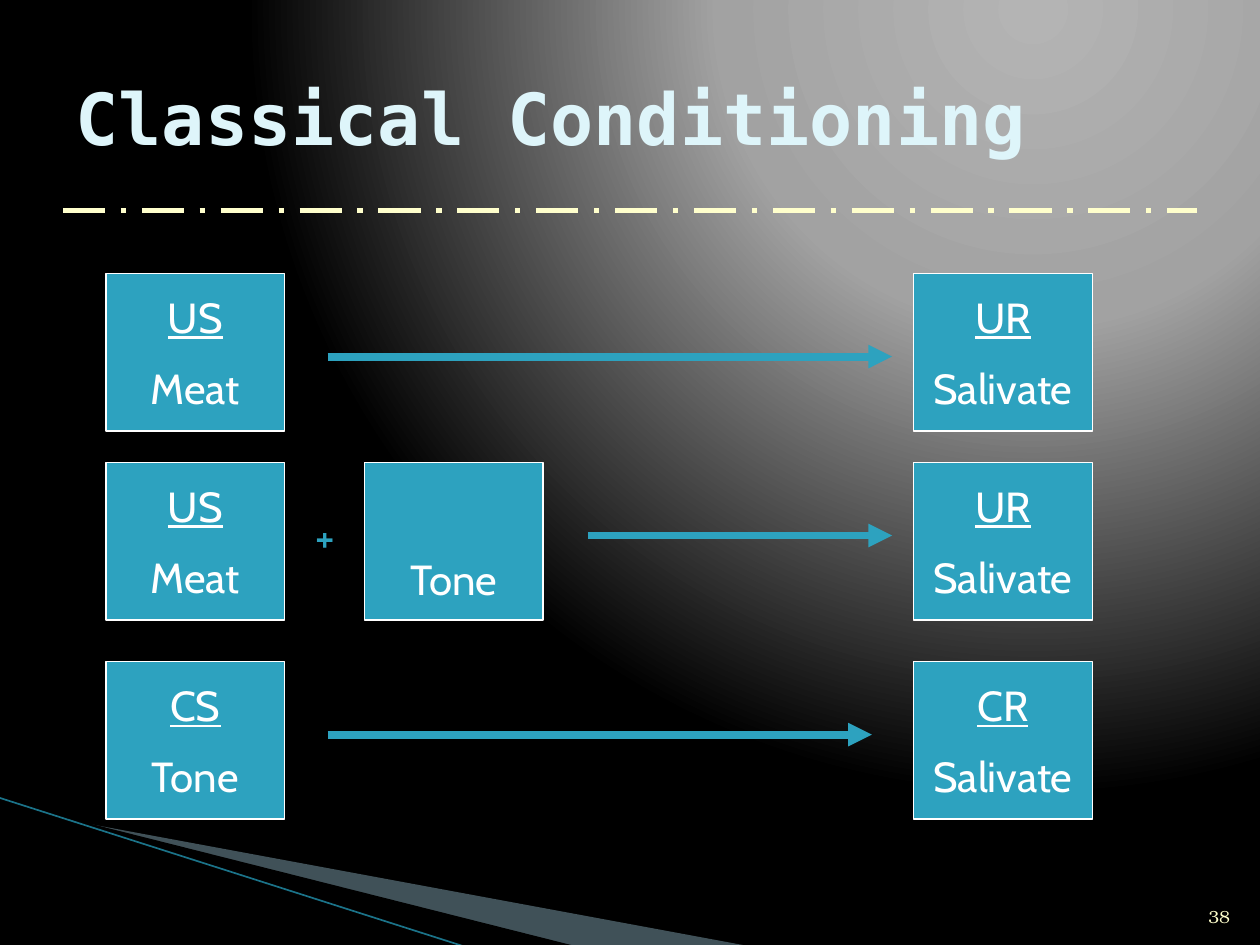
from pptx import Presentation
from pptx.dml.color import RGBColor
from pptx.enum.dml import MSO_LINE
from pptx.enum.shapes import MSO_CONNECTOR, MSO_SHAPE
from pptx.enum.text import MSO_ANCHOR, MSO_AUTO_SIZE, PP_ALIGN
from pptx.oxml import parse_xml
from pptx.oxml.ns import qn
from pptx.util import Inches, Pt
from lxml.etree import SubElement

TEAL, CREAM, WHITE = "2DA2BF", "FFFFCC", "FFFFFF"
BODY = "Cabin"
BOX_W, BOX_H = 1.42, 1.25
LEFT, MID, RIGHT = 0.84, 2.89, 7.25

# row top, boxes (left, term, event), arrow (start x, end x, y)
ROWS = [
    (2.17, [(LEFT, "US", "Meat"), (RIGHT, "UR", "Salivate")],
     (2.6, 7.08, 2.83)),
    (3.67, [(LEFT, "US", "Meat"), (MID, "", "Tone"), (RIGHT, "UR", "Salivate")],
     (4.67, 7.08, 4.25)),
    (5.25, [(LEFT, "CS", "Tone"), (RIGHT, "CR", "Salivate")],
     (2.6, 6.92, 5.83)),
]
# points, colour, opacity in percent
WEDGES = [
    ([(0.55, 6.51), (5.95, 7.51), (4.56, 7.51), (0.55, 6.5)], "A0CBDC", 40),
    ([(0.53, 6.49), (4.57, 7.51), (3.72, 7.52), (0.54, 6.5)], "000000", 100),
]
# position in percent, colour
STOPS = [(0, "B4B4B4"), (40, "A2A2A2"), (100, "000000")]


def rgb(code):
    return RGBColor.from_string(code)


def paint_back(slide):
    """Fill the background with a circular gradient centred at upper right."""
    fill = slide.background.fill
    fill.gradient()
    grad = slide.background._cSld.find(".//" + qn("a:gradFill"))
    stops = "".join(
        f'<a:gs pos="{pos * 1000}"><a:srgbClr val="{code}"/></a:gs>'
        for pos, code in STOPS)
    new = parse_xml(
        '<a:gradFill xmlns:a="http://schemas.openxmlformats.org/drawingml/2006/main"'
        f' rotWithShape="1"><a:gsLst>{stops}</a:gsLst><a:path path="circle">'
        '<a:fillToRect l="65000" t="0" r="0" b="98000"/></a:path></a:gradFill>')
    grad.getparent().replace(grad, new)


def add_run(para, text, size, font, code, bold=None, line=None):
    run = para.add_run()
    run.text = text
    run.font.size = Pt(size)
    run.font.name = font
    run.font.color.rgb = rgb(code)
    run.font.bold = bold
    run.font.underline = line


def add_wedge(slide, points, code, alpha):
    start, *rest = [(Inches(x), Inches(y)) for x, y in points]
    build = slide.shapes.build_freeform(*start)
    build.add_line_segments(rest, close=True)
    wedge = build.convert_to_shape()
    wedge.shadow.inherit = False
    wedge.line.fill.background()
    wedge.fill.solid()
    wedge.fill.fore_color.rgb = rgb(code)
    if alpha < 100:
        color = wedge._element.spPr.find(".//" + qn("a:srgbClr"))
        SubElement(color, qn("a:alpha"), val=str(alpha * 1000))


def add_line(slide, x1, y1, x2, y2, code, width):
    line = slide.shapes.add_connector(
        MSO_CONNECTOR.STRAIGHT, Inches(x1), Inches(y1), Inches(x2), Inches(y2))
    line.line.color.rgb = rgb(code)
    line.line.width = Pt(width)
    SubElement(line._element.spPr, qn("a:effectLst"))
    return line


def add_arrow(slide, x1, x2, y):
    arrow = add_line(slide, x1, y, x2, y, TEAL, 4.5)
    SubElement(arrow.line._get_or_add_ln(), qn("a:tailEnd"), type="triangle")


def add_box(slide, left, top, term, event):
    """Draw a box with an underlined term over an event; no term, event low."""
    box = slide.shapes.add_shape(
        MSO_SHAPE.RECTANGLE, Inches(left), Inches(top), Inches(BOX_W), Inches(BOX_H))
    box.shadow.inherit = False
    box.fill.solid()
    box.fill.fore_color.rgb = rgb(TEAL)
    box.line.color.rgb = rgb(WHITE)
    box.line.width = Pt(0.75)
    frame = box.text_frame
    frame.word_wrap = True
    frame.margin_top = frame.margin_bottom = Inches(0.13)
    frame.vertical_anchor = MSO_ANCHOR.MIDDLE if term else MSO_ANCHOR.BOTTOM
    para = frame.paragraphs[0]
    para.alignment = PP_ALIGN.CENTER
    if term:
        add_run(para, term, 24, BODY, WHITE, line=True)
        para = frame.add_paragraph()
        para.alignment = PP_ALIGN.CENTER
        para.space_before = Pt(12)
    add_run(para, event, 24, BODY, WHITE)


def add_note(slide, left, top, side, text, size, font, code, align, anchor):
    note = slide.shapes.add_textbox(
        Inches(left), Inches(top), Inches(side), Inches(side))
    note.text_frame.word_wrap = True
    note.text_frame.vertical_anchor = anchor
    para = note.text_frame.paragraphs[0]
    para.alignment = align
    add_run(para, text, size, font, code)


def add_title(slide, text):
    title = slide.shapes.title
    title.left, title.top = Inches(0.5), Inches(0.3)
    title.width, title.height = Inches(9), Inches(1.25)
    frame = title.text_frame
    frame.auto_size = MSO_AUTO_SIZE.NONE
    frame.vertical_anchor = MSO_ANCHOR.MIDDLE
    para = frame.paragraphs[0]
    para.alignment = PP_ALIGN.LEFT
    add_run(para, text, 41, "DejaVu Sans Mono", "DEF5FA", bold=True)


def main():
    deck = Presentation()
    deck.slide_width, deck.slide_height = Inches(10), Inches(7.5)
    slide = deck.slides.add_slide(deck.slide_layouts[5])
    paint_back(slide)
    for wedge in WEDGES:
        add_wedge(slide, *wedge)
    add_line(slide, -0.01, 6.33, 3.71, 7.52, "1B7389", 0.95)
    rule = add_line(slide, 0.5, 1.67, 9.5, 1.67, CREAM, 3)
    rule.line.dash_style = MSO_LINE.LONG_DASH_DOT
    add_title(slide, "Classical Conditioning")
    for top, boxes, arrow in ROWS:
        for left, term, event in boxes:
            add_box(slide, left, top, term, event)
        add_arrow(slide, *arrow)
    add_note(slide, 2.33, 4, 0.5, "+", 24, BODY, TEAL,
             PP_ALIGN.CENTER, MSO_ANCHOR.TOP)
    add_note(slide, 9.46, 7.01, 0.4, "38", 10, "TeX Gyre Bonum", CREAM,
             PP_ALIGN.RIGHT, MSO_ANCHOR.BOTTOM)
    deck.save("out.pptx")


if __name__ == "__main__":
    main()
